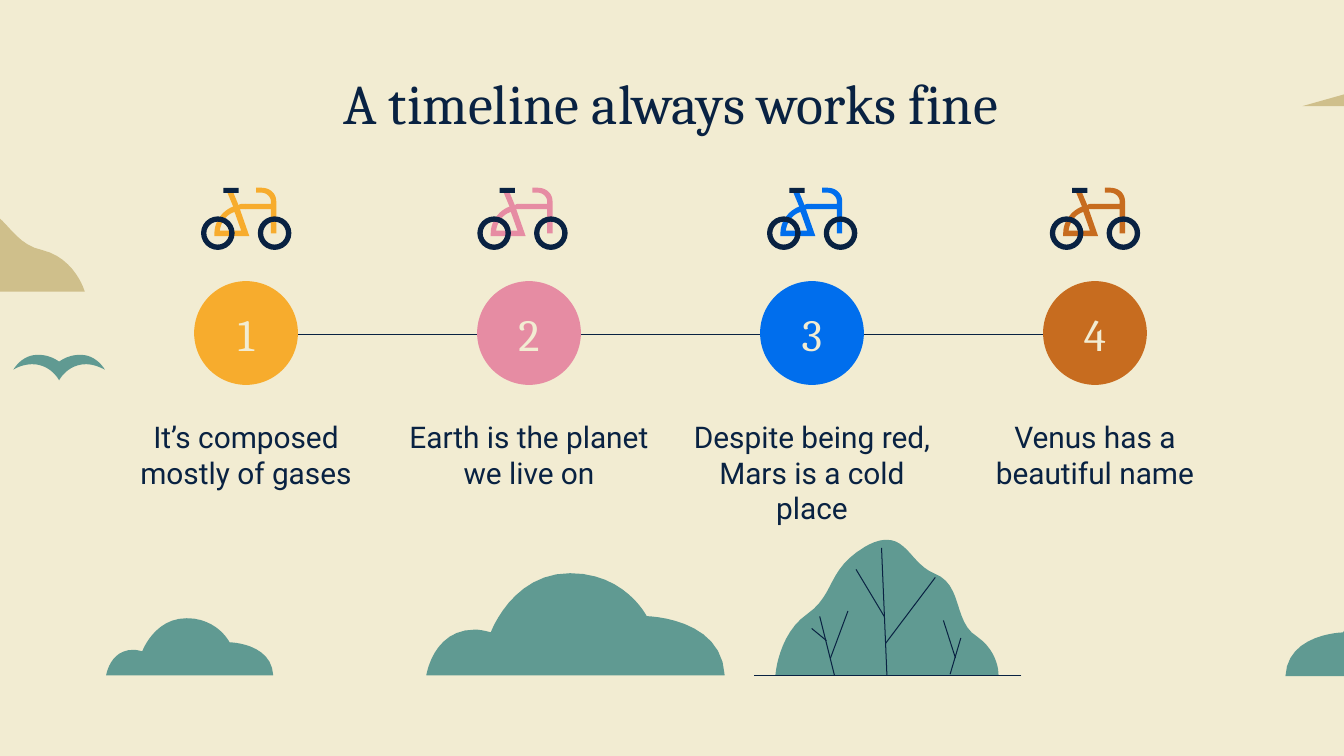
"""Build a four-step bicycle timeline slide with a landscape around it."""
from pptx import Presentation
from pptx.dml.color import RGBColor
from pptx.enum.shapes import MSO_CONNECTOR, MSO_SHAPE
from pptx.enum.text import MSO_ANCHOR, MSO_AUTO_SIZE, PP_ALIGN
from pptx.oxml.xmlchemy import OxmlElement
from pptx.util import Pt

COLORS = {
    "sand": "F2ECD2", "navy": "092242", "teal": "609A92", "dune": "CFBF8B",
    "yellow": "F7AC2D", "pink": "E68CA3", "blue": "006EED", "orange": "C76C1F",
}
TITLE = "A timeline always works fine"
STEPS = [
    ("It’s composed mostly of gases", "yellow", 107.7),
    ("Earth is the planet we live on", "pink", 255.7),
    ("Despite being red, Mars is a cold place", "blue", 410.9),
    ("Venus has a beautiful name", "orange", 562.4),
]
COLUMN_LEFT, COLUMN_PITCH, COLUMN_WIDTH = 56.2, 151.6, 151.2
CIRCLE_SIZE, CIRCLE_TOP = 55.6, 150.6
BIKE_TOP, GROUND = 100.6, 362
GRID = 0.72

BIRD = [[
    (28, 64), (16, 64, 10, 75, 10, 75), (15, 72, 20, 71, 24, 71),
    (38, 71, 44, 83, 44, 83), (44, 83, 50, 71, 64, 71), (68, 71, 72, 72, 78, 75),
    (78, 75, 72, 64, 60, 64), (55, 64, 50, 65, 44, 69), (38, 65, 33, 64, 28, 64),
]]
LEFT_DUNE = [[
    (118, 0), (116, 0, 115, 0, 114, 0), (88, 3, 81, 29, 65, 31),
    (50, 34, 6, 33, 0, 63), (200, 63), (200, 63, 193, 38, 168, 32),
    (144, 27, 140, 0, 118, 0),
]]
RIGHT_DUNE = [[
    (78, 0), (101, 0, 125, 22, 125, 22), (125, 22, 134, 20, 144, 20),
    (157, 20, 174, 24, 180, 44), (0, 44), (32, 35), (32, 35, 50, 3, 74, 1),
    (75, 0, 77, 0, 78, 0),
]]
BUSH = [[
    (107, 0), (148, 0, 164, 32, 164, 32), (164, 32, 220, 33, 222, 76), (0, 76),
    (0, 76, 5, 42, 36, 42), (40, 42, 44, 43, 48, 44), (48, 44, 64, 0, 107, 0),
]]
TREE = [[
    (83, 0), (98, 0, 102, 18, 118, 25), (140, 33, 132, 61, 150, 72),
    (167, 84, 166, 101, 166, 101), (0, 101), (0, 101, 2, 70, 24, 55),
    (45, 40, 38, 22, 67, 5), (74, 1, 79, 0, 83, 0),
]]
BRANCHES = [
    (79, 6, 83, 101), (60, 22, 81, 57), (119, 28, 82, 77), (33, 57, 44, 101),
    (27, 66, 38, 75), (54, 53, 41, 88), (138, 73, 130, 100), (125, 60, 134, 88),
    (183, 101, -16, 101),
]
HANDLEBAR = [[
    (41, 0), (41, 3.7), (45, 3.7), (49, 3.7, 52, 7, 52, 10), (52, 12), (33, 12),
    (32, 14), (33, 16), (52, 16), (52, 34), (56, 34), (56, 10), (56, 4, 51, 0, 45, 0),
]]
FRAME = [
    [(10, 36), (36, 36), (29, 16), (33, 16), (33, 12), (31, 12), (30, 12, 29, 12, 28, 13),
     (23, 1), (19, 2), (24, 14), (16, 17, 10, 25, 10, 34)],
    [(25, 18), (30, 32), (14, 32), (15, 25, 19, 20, 25, 18)],
]
SCENERY = [
    ("teal", BIRD, 0, 144, 1, 1),
    ("dune", LEFT_DUNE, -98.6, 110.9, 1, 1),
    ("dune", RIGHT_DUNE, 697.7, 25.2, 1, 1),
    ("teal", BUSH, 806.9, GROUND - 40.2, -0.74, 0.74),
    ("teal", BUSH, 228.4, GROUND - 54.9, 1, 1),
    ("teal", BUSH, 56.9, GROUND - 30.8, 0.56, 0.56),
]
TREE_LEFT, TREE_TOP = 415.4, 289.2


def color(name):
    """Return the named colour."""
    return RGBColor.from_string(COLORS[name])


def paint(shape, fill):
    """Give a shape a plain fill without line or shadow."""
    shape.shadow.inherit = False
    shape.fill.solid()
    shape.fill.fore_color.rgb = color(fill)
    shape.line.fill.background()


def flatten(contour, steps=12):
    """Turn points and cubic curves into a list of points."""
    points = [contour[0]]
    for part in contour[1:]:
        if len(part) == 2:
            points.append(part)
            continue
        controls = [points[-1], part[:2], part[2:4], part[4:]]
        for step in range(1, steps + 1):
            t = step / steps
            weights = ((1 - t) ** 3, 3 * t * (1 - t) ** 2, 3 * t * t * (1 - t), t ** 3)
            points.append(tuple(
                sum(weight * control[axis] for weight, control in zip(weights, controls))
                for axis in (0, 1)))
    return points


def draw_outline(shapes, fill, outline, left, top, scale_x=1, scale_y=1):
    """Draw a filled outline given in grid units."""
    builder = None
    for contour in outline:
        points = [(Pt(left + x * scale_x * GRID), Pt(top + y * scale_y * GRID))
                  for x, y in flatten(contour)]
        if builder is None:
            builder = shapes.build_freeform(*points[0], scale=1.0)
        else:
            builder.move_to(*points[0])
        builder.add_line_segments(points[1:], close=True)
    paint(builder.convert_to_shape(), fill)


def draw_shape(shapes, kind, fill, left, top, width, height):
    """Draw a filled preset shape."""
    shape = shapes.add_shape(kind, Pt(left), Pt(top), Pt(width), Pt(height))
    paint(shape, fill)
    return shape


def draw_line(shapes, start_x, start_y, end_x, end_y, width):
    """Draw a navy line."""
    connector = shapes.add_connector(
        MSO_CONNECTOR.STRAIGHT, Pt(start_x), Pt(start_y), Pt(end_x), Pt(end_y))
    connector.line.color.rgb = color("navy")
    connector.line.width = Pt(width)
    connector._element.spPr.append(OxmlElement("a:effectLst"))


def write_text(shape, text, *, box, font, size, fill, space_after=0):
    """Place a text shape and write one centred paragraph in it."""
    shape.left, shape.top, shape.width, shape.height = map(Pt, box)
    frame = shape.text_frame
    frame.word_wrap = True
    frame.auto_size = MSO_AUTO_SIZE.NONE
    frame.vertical_anchor = MSO_ANCHOR.TOP
    frame.margin_left = frame.margin_right = Pt(7.2)
    frame.margin_top = frame.margin_bottom = Pt(7.2)
    paragraph = frame.paragraphs[0]
    properties = paragraph._p.get_or_add_pPr()
    properties.set("marL", "0")
    properties.set("indent", "0")
    properties.append(OxmlElement("a:buNone"))
    paragraph.alignment = PP_ALIGN.CENTER
    paragraph.space_before = Pt(0)
    paragraph.space_after = Pt(space_after)
    run = paragraph.add_run()
    run.text = text
    run.font.name = font
    run.font.size = Pt(size)
    run.font.bold = False
    run.font.color.rgb = color(fill)


def draw_bike(slide, fill, left):
    """Draw a grouped bicycle."""
    shapes = slide.shapes.add_group_shape().shapes
    for outline in (HANDLEBAR, FRAME):
        draw_outline(shapes, fill, outline, left, BIKE_TOP)
    for offset in (0, 30.4):
        wheel = draw_shape(shapes, MSO_SHAPE.DONUT, "navy", left + offset, BIKE_TOP + 15.3, 18, 18)
        wheel.adjustments[0] = 0.16
    draw_shape(shapes, MSO_SHAPE.RECTANGLE, "navy", left + 12, BIKE_TOP, 8.2, 2.7)


def main():
    """Build and save the slide."""
    presentation = Presentation()
    presentation.slide_width, presentation.slide_height = Pt(720), Pt(405)
    slide = presentation.slides.add_slide(presentation.slide_layouts.get_by_name("Comparison"))
    slide.background.fill.solid()
    slide.background.fill.fore_color.rgb = color("sand")
    title, *bodies = slide.placeholders
    write_text(title, TITLE, box=(56.2, 29.5, 606.2, 37.4), font="Cambria", size=30, fill="navy")

    for fill, outline, left, top, scale_x, scale_y in SCENERY:
        draw_outline(slide.shapes, fill, outline, left, top, scale_x, scale_y)
    tree = slide.shapes.add_group_shape().shapes
    draw_outline(tree, "teal", TREE, TREE_LEFT, TREE_TOP)
    for branch in BRANCHES:
        ends = [origin + value * GRID
                for origin, value in zip((TREE_LEFT, TREE_TOP) * 2, branch)]
        draw_line(tree, *ends, width=0.54)

    draw_line(slide.shapes, 159.8, 179.1, 559.4, 179.1, width=0.75)
    for index, (text, fill, bike_left) in enumerate(STEPS):
        left = COLUMN_LEFT + index * COLUMN_PITCH
        circle_left = left + (COLUMN_WIDTH - CIRCLE_SIZE) / 2
        write_text(bodies[index], text, box=(left, 217, COLUMN_WIDTH, 51.1),
                   font="Roboto", size=16, fill="navy", space_after=16)
        draw_shape(slide.shapes, MSO_SHAPE.OVAL, fill,
                   circle_left, CIRCLE_TOP, CIRCLE_SIZE, CIRCLE_SIZE)
        number = slide.shapes.add_textbox(0, 0, 0, 0)
        write_text(number, str(index + 1), box=(left, 157, COLUMN_WIDTH, 26.6),
                   font="Cambria", size=24, fill="sand", space_after=16)
        draw_bike(slide, fill, bike_left)
    presentation.save("out.pptx")


if __name__ == "__main__":
    main()
